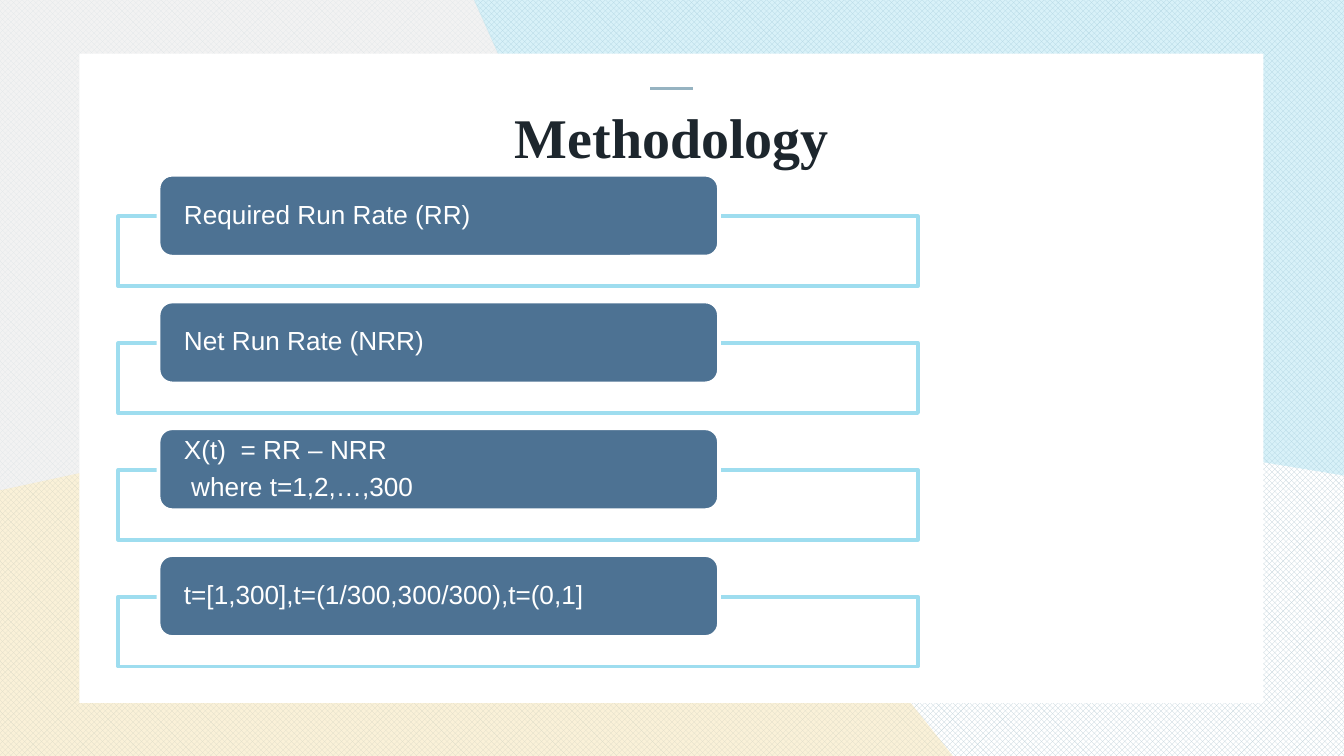
from lxml import etree
from pptx import Presentation
from pptx.dml.color import RGBColor
from pptx.enum.dml import MSO_PATTERN
from pptx.enum.shapes import MSO_CONNECTOR, MSO_SHAPE
from pptx.enum.text import MSO_ANCHOR, PP_ALIGN
from pptx.oxml.ns import qn
from pptx.util import Inches, Pt

RECT, ROUND = MSO_SHAPE.RECTANGLE, MSO_SHAPE.ROUNDED_RECTANGLE
LINE = MSO_CONNECTOR.STRAIGHT
TRELLIS = MSO_PATTERN.TRELLIS
LEFT, CENTER = PP_ALIGN.LEFT, PP_ALIGN.CENTER
TOP, MIDDLE = MSO_ANCHOR.TOP, MSO_ANCHOR.MIDDLE

WHITE = RGBColor(0xFF, 0xFF, 0xFF)
INK = RGBColor(0x1D, 0x26, 0x2D)
MESH = RGBColor(0xC0, 0xD1, 0xDA)
RULE = RGBColor(0x96, 0xB3, 0xC1)
GRAY = RGBColor(0xEE, 0xEE, 0xEE)
SAND = RGBColor(0xF7, 0xE5, 0xB7)
SKY = RGBColor(0x9E, 0xDD, 0xEF)
STEEL = RGBColor(0x4D, 0x72, 0x93)


def write(frame, text, font="Arial", size=14, color=WHITE, bold=False,
          align=LEFT, anchor=MIDDLE, insets=(0.16, 0, 0.16, 0),
          spacing=None, after=0):
    """Fill a text frame, one paragraph for each line of text."""
    frame.word_wrap = True
    frame.vertical_anchor = anchor
    (frame.margin_left, frame.margin_top,
     frame.margin_right, frame.margin_bottom) = map(Inches, insets)
    for i, line in enumerate(text.split("\n")):
        para = frame.add_paragraph() if i else frame.paragraphs[0]
        para.alignment = align
        para.line_spacing = spacing
        para.space_after = Pt(after)
        run = para.add_run()
        run.text = line
        run.font.name = font
        run.font.size = Pt(size)
        run.font.bold = bold
        run.font.color.rgb = color


class Deck:
    def __init__(self, width, height):
        self.file = Presentation()
        self.file.slide_width = Inches(width)
        self.file.slide_height = Inches(height)
        self.slide = self.file.slides.add_slide(self.file.slide_layouts[6])
        self.shapes = self.slide.shapes

    def mesh(self, fore, back):
        fill = self.slide.background.fill
        fill.patterned()
        fill.pattern = TRELLIS
        fill.fore_color.rgb = fore
        fill.back_color.rgb = back

    def paint(self, shape, fill, alpha=100, line=None, width=2):
        shape.shadow.inherit = False
        shape.fill.solid()
        shape.fill.fore_color.rgb = fill
        if alpha < 100:
            color = shape.fill._xPr.find(".//" + qn("a:srgbClr"))
            etree.SubElement(color, qn("a:alpha"), val=str(alpha * 1000))
        if line is None:
            shape.line.fill.background()
        else:
            shape.line.color.rgb = line
            shape.line.width = Pt(width)
        return shape

    def patch(self, points, fill, alpha):
        points = [(Inches(x), Inches(y)) for x, y in points]
        build = self.shapes.build_freeform(*points[0])
        build.add_line_segments(points[1:], close=True)
        return self.paint(build.convert_to_shape(), fill, alpha)

    def box(self, kind, place, fill, **style):
        shape = self.shapes.add_shape(kind, *map(Inches, place))
        return self.paint(shape, fill, **style)

    def rule(self, start, end, color, width):
        line = self.shapes.add_connector(LINE, *map(Inches, start + end))
        line.line.color.rgb = color
        line.line.width = Pt(width)
        etree.SubElement(line._element.spPr, qn("a:effectLst"))

    def text(self, place, text, **style):
        box = self.shapes.add_textbox(*map(Inches, place))
        write(box.text_frame, text, **style)


def main():
    deck = Deck(10, 10 * 9 / 16)

    # Backdrop: mesh, three tinted patches and the white panel
    deck.mesh(MESH, WHITE)
    deck.patch([(-0.05, -0.06), (-0.05, 3.66), (4.7, 2.63), (3.52, -0.03)],
               GRAY, 72)
    deck.patch([(-0.05, 3.66), (-0.05, 5.99), (7.38, 5.99), (4.71, 2.63)],
               SAND, 53)
    deck.patch([(3.5, -0.06), (4.72, 2.67), (10.13, 3.56), (10.13, -0.08)],
               SKY, 40)
    deck.box(RECT, (0.59, 0.4, 8.81, 4.83), WHITE)

    # Title under a short rule
    deck.rule((4.84, 0.66), (5.16, 0.66), RULE, 1.5)
    deck.text((2.16, 0.66, 5.68, 0.58), "Methodology",
              font="Times New Roman", size=30, color=INK, bold=True,
              align=CENTER, anchor=TOP, insets=(0.1, 0.1, 0.1, 0.1))

    # Steps: an open frame with a label over its top edge
    steps = ["Required Run Rate (RR)",
             "Net Run Rate (NRR)",
             "X(t)  = RR – NRR\n where t=1,2,…,300",
             "t=[1,300],t=(1/300,300/300),t=(0,1]"]
    first, last = 1.3, 4.13
    pitch = (last - first) / (len(steps) - 1)
    for i, step in enumerate(steps):
        y = first + i * pitch
        deck.box(RECT, (0.88, y + 0.31, 5.95, 0.52), WHITE,
                 alpha=90, line=SKY)
        label = deck.box(ROUND, (1.18, y, 4.17, 0.61), STEEL, line=WHITE)
        write(label.text_frame, step, spacing=0.9, after=4.9)

    deck.file.save("out.pptx")


if __name__ == "__main__":
    main()
